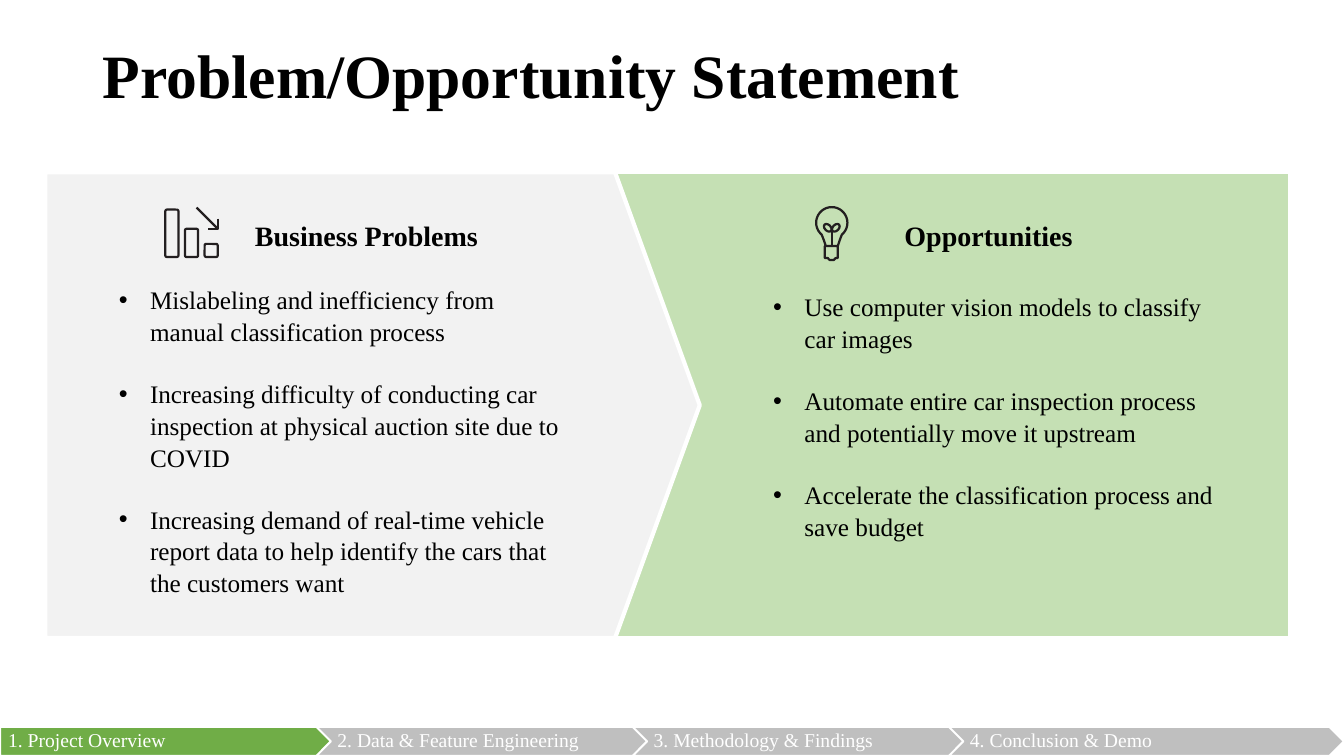
import math

import pptx
import pptx.dml.color
import pptx.enum.shapes
import pptx.enum.text
import pptx.oxml
import pptx.oxml.ns
import pptx.util

RGB = pptx.dml.color.RGBColor
SHAPE = pptx.enum.shapes.MSO_SHAPE
ALIGN = pptx.enum.text.PP_ALIGN
ANCHOR = pptx.enum.text.MSO_ANCHOR
Inches, Pt = pptx.util.Inches, pptx.util.Pt

TITLE = "Problem/Opportunity Statement"
PANELS = [
    {"heading": "Business Problems", "heading_at": (2.21, 2.12, 2.85, 0.44),
     "points_at": (1.08, 2.76, 4.71, 3.13),
     "points": [
         "Mislabeling and inefficiency from manual classification process",
         "Increasing difficulty of conducting car inspection at physical auction site due to COVID",
         "Increasing demand of real-time vehicle report data to help identify the cars that the customers want"]},
    {"heading": "Opportunities", "heading_at": (8.61, 2.12, 2.39, 0.44),
     "points_at": (7.57, 2.83, 4.71, 2.52),
     "points": [
         "Use computer vision models to classify car images",
         "Automate entire car inspection process and potentially move it upstream",
         "Accelerate the classification process and save budget"]},
]
STEPS = ["1. Project Overview", "2. Data & Feature Engineering",
         "3. Methodology & Findings", "4. Conclusion & Demo"]
CURRENT_STEP = 0

FONT = "Times New Roman"
BLACK = RGB(0x00, 0x00, 0x00)
WHITE = RGB(0xFF, 0xFF, 0xFF)
INK = RGB(0x23, 0x1F, 0x20)
LIGHT_GREY = RGB(0xF2, 0xF2, 0xF2)
LIGHT_GREEN = RGB(0xC5, 0xE0, 0xB4)
GREEN = RGB(0x70, 0xAD, 0x47)
GREY = RGB(0xBF, 0xBF, 0xBF)

SLIDE_W, SLIDE_H = 13.33, 7.5
PANEL_TOP, PANEL_BOTTOM = 1.71, 6.33
PANEL_LEFT, PANEL_SHOULDER, PANEL_TIP = 0.45, 6.1, 6.94
OPPORTUNITY_LEFT, OPPORTUNITY_RIGHT = 6.02, 12.8
STEP_W, STEP_H = 3.92, 0.29
STEP_TOP = SLIDE_H - STEP_H
STEP_PITCH = (SLIDE_W - STEP_W) / (len(STEPS) - 1)
ICON_STROKE = 1.6

prs = pptx.Presentation()
prs.slide_width, prs.slide_height = Inches(SLIDE_W), Inches(SLIDE_H)
slide = prs.slides.add_slide(prs.slide_layouts[5])


def paint(shape, fill, line, width):
    shape.shadow.inherit = False
    if fill is None:
        shape.fill.background()
    else:
        shape.fill.solid()
        shape.fill.fore_color.rgb = fill
    shape.line.color.rgb = line
    shape.line.width = Pt(width)
    return shape


def add_preset(kind, at, fill, line, width):
    return paint(slide.shapes.add_shape(kind, *map(Inches, at)), fill, line, width)


def add_outline(points, fill=None, line=INK, width=ICON_STROKE, close=False):
    corners = [(Inches(x), Inches(y)) for x, y in points]
    builder = slide.shapes.build_freeform(*corners[0])
    builder.add_line_segments(corners[1:], close=close)
    return paint(builder.convert_to_shape(), fill, line, width)


def set_font(paragraph, size, color=BLACK, bold=False):
    font = paragraph.font
    font.name, font.size, font.bold = FONT, Pt(size), bold
    font.color.rgb = color


def add_frame(at):
    frame = slide.shapes.add_textbox(*map(Inches, at)).text_frame
    frame.word_wrap = True
    return frame


def add_bullet(paragraph):
    props = paragraph._p.get_or_add_pPr()
    props.set("marL", str(Inches(0.31)))
    props.set("indent", str(-Inches(0.31)))
    for tag, key, value in (("buFont", "typeface", "Arial"), ("buChar", "char", "•")):
        bullet = pptx.oxml.parse_xml(
            f'<a:{tag} {pptx.oxml.ns.nsdecls("a")} {key}="{value}"/>')
        props.append(bullet)


def add_title():
    title = slide.shapes.title
    title.left, title.top, title.width, title.height = map(Inches, (0.92, 0.4, 11.5, 1.45))
    title.text_frame.text = TITLE
    title.text_frame.vertical_anchor = ANCHOR.TOP
    paragraph = title.text_frame.paragraphs[0]
    paragraph.alignment = ALIGN.LEFT
    paragraph.line_spacing = 0.9
    set_font(paragraph, 44, bold=True)


def add_progress_bar():
    for i, step in enumerate(STEPS):
        left = i * STEP_PITCH
        kind = SHAPE.CHEVRON if i else SHAPE.PENTAGON
        add_preset(kind, (left, STEP_TOP, STEP_W, STEP_H),
                   GREEN if i == CURRENT_STEP else GREY, WHITE, 1.5)
        notch = 0.15 if i else 0
        frame = add_frame((left + notch, STEP_TOP, STEP_W - 2 * notch, STEP_H))
        frame.margin_left = Inches(0.06 if i else 0.08)
        frame.margin_right = Inches(0.02)
        frame.margin_top = frame.margin_bottom = Inches(0.04)
        frame.vertical_anchor = ANCHOR.MIDDLE
        frame.text = step
        frame.paragraphs[0].line_spacing = 0.9
        set_font(frame.paragraphs[0], 14, WHITE)


def add_panel_backgrounds():
    add_preset(SHAPE.RECTANGLE,
               (OPPORTUNITY_LEFT, PANEL_TOP, OPPORTUNITY_RIGHT - OPPORTUNITY_LEFT,
                PANEL_BOTTOM - PANEL_TOP), LIGHT_GREEN, WHITE, 3)
    add_outline([(PANEL_LEFT, PANEL_TOP), (PANEL_SHOULDER, PANEL_TOP),
                 (PANEL_TIP, (PANEL_TOP + PANEL_BOTTOM) / 2),
                 (PANEL_SHOULDER, PANEL_BOTTOM), (PANEL_LEFT, PANEL_BOTTOM)],
                LIGHT_GREY, WHITE, 3, close=True)


def add_panel_text(panel):
    heading = add_frame(panel["heading_at"])
    heading.text = panel["heading"]
    heading.paragraphs[0].alignment = ALIGN.CENTER
    set_font(heading.paragraphs[0], 20, bold=True)

    body = add_frame(panel["points_at"])
    body.text = "\n".join(panel["points"])
    for paragraph in body.paragraphs:
        add_bullet(paragraph)
        paragraph.line_spacing = 1.05
        if paragraph.text != panel["points"][-1]:
            paragraph.space_after = Pt(21.6)
        set_font(paragraph, 18)


def add_falling_bars_icon():
    bottom = 2.55
    for i, height in enumerate((0.47, 0.28, 0.13)):
        bar = add_preset(SHAPE.ROUNDED_RECTANGLE,
                         (1.64 + i * 0.195, bottom - height, 0.13, height),
                         None, INK, ICON_STROKE)
        bar.adjustments[0] = 0.12
    add_outline([(1.95, 2.06), (2.16, 2.27)])
    add_outline([(2.16, 2.17), (2.16, 2.27), (2.06, 2.27)])


def add_bulb_icon():
    center_x, center_y, radius = 8.25, 2.21, 0.155
    glass = [(center_x + radius * math.cos(math.radians(a)),
              center_y + radius * math.sin(math.radians(a)))
             for a in range(130, 411, 10)]
    add_outline([(8.19, 2.44), (8.17, 2.38), *glass, (8.33, 2.38), (8.31, 2.44)])
    add_outline([(8.18, 2.44), (8.31, 2.44), (8.31, 2.56), (8.29, 2.56), (8.27, 2.58),
                 (8.23, 2.58), (8.21, 2.56), (8.18, 2.56)], close=True)
    add_outline([(center_x, 2.27), (center_x, 2.44)])
    leaf_w, leaf_h = 0.09, 0.06
    for side in (-1, 1):
        leaf = add_preset(SHAPE.OVAL, (center_x + side * 0.04 - leaf_w / 2, 2.23, leaf_w, leaf_h),
                          None, INK, ICON_STROKE)
        leaf.rotation = -45 * side


add_title()
add_progress_bar()
add_panel_backgrounds()
for panel in PANELS:
    add_panel_text(panel)
add_falling_bars_icon()
add_bulb_icon()
prs.save("out.pptx")
